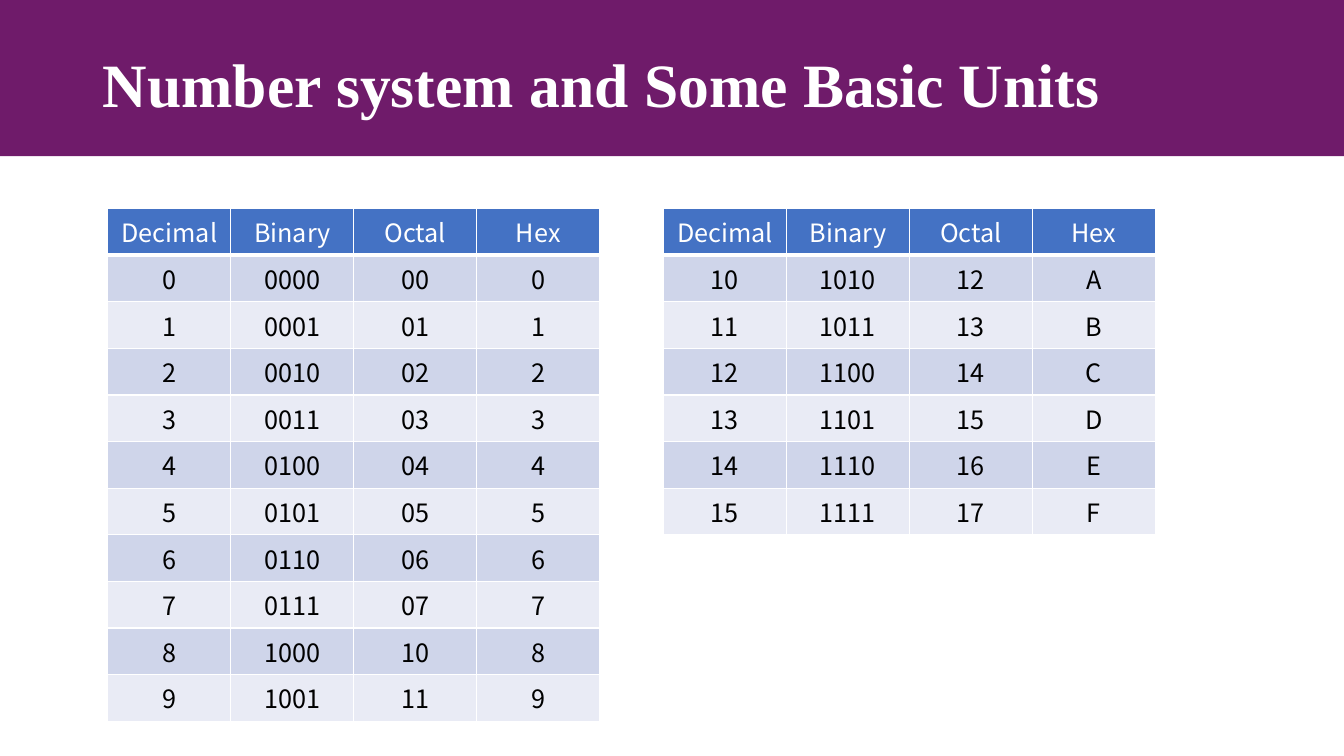
from dataclasses import dataclass

from lxml import etree
from pptx import Presentation
from pptx import util as u
from pptx.dml.color import RGBColor
from pptx.enum import shapes, text
from pptx.oxml import ns

PURPLE = RGBColor(0x6F, 0x1B, 0x6A)
WHITE = RGBColor(0xFF, 0xFF, 0xFF)
BLACK = RGBColor(0, 0, 0)
HEADER_BLUE = RGBColor(0x44, 0x72, 0xC4)
BAND_FILLS = (RGBColor(0xCF, 0xD5, 0xEA), RGBColor(0xE9, 0xEB, 0xF5))

HEADINGS = ("Decimal", "Binary", "Octal", "Hex")
COLUMN_WIDTH = 1.22
ROW_HEIGHT = 0.41
TABLE_TOP = 2.07
TITLE_FONT = {"name": "Times New Roman", "size": u.Pt(44), "bold": True}
CELL_FONT = {"name": "Noto Sans CJK SC", "size": u.Pt(18), "bold": False}


@dataclass(frozen=True)
class NumberTable:
    left: float
    numbers: range


NUMBER_TABLES = (
    NumberTable(1.07, range(10)),
    NumberTable(6.58, range(10, 16)),
)


def apply_format(target, values: dict) -> None:
    for name, value in values.items():
        setattr(target, name, value)


def add_borders(cell, bottom_points: float) -> None:
    properties = cell._tc.get_or_add_tcPr()
    widths = {"lnL": 1, "lnR": 1, "lnT": 1, "lnB": bottom_points}
    for edge, points in widths.items():
        line = etree.SubElement(properties, ns.qn(f"a:{edge}"), w=str(u.Pt(points)))
        fill = etree.SubElement(line, ns.qn("a:solidFill"))
        etree.SubElement(fill, ns.qn("a:srgbClr"), val=str(WHITE))


def fill_cell(cell, words: str, fill: RGBColor, color: RGBColor, bottom_points: float) -> None:
    add_borders(cell, bottom_points)
    cell.fill.solid()
    cell.fill.fore_color.rgb = fill
    para = cell.text_frame.paragraphs[0]
    para.alignment = text.PP_ALIGN.CENTER
    span = para.add_run()
    span.text = words
    apply_format(span.font, CELL_FONT)
    span.font.color.rgb = color


def add_number_table(page, item: NumberTable) -> None:
    rows = [HEADINGS] + [(str(n), f"{n:04b}", f"{n:02o}", f"{n:X}") for n in item.numbers]
    table = page.shapes.add_table(
        len(rows), len(HEADINGS), u.Inches(item.left), u.Inches(TABLE_TOP),
        u.Inches(COLUMN_WIDTH * len(HEADINGS)), u.Inches(ROW_HEIGHT * len(rows)),
    ).table
    for column in table.columns:
        column.width = u.Inches(COLUMN_WIDTH)
    for index, row in enumerate(rows):
        table.rows[index].height = u.Inches(ROW_HEIGHT)
        if index == 0:
            fill, color, bottom_points = HEADER_BLUE, WHITE, 3
        else:
            fill, color, bottom_points = BAND_FILLS[(index - 1) % 2], BLACK, 1
        for position, words in enumerate(row):
            fill_cell(table.cell(index, position), words, fill, color, bottom_points)


def add_title_band(page, deck_width: int) -> None:
    band = page.shapes.add_shape(
        shapes.MSO_SHAPE.RECTANGLE, 0, 0, deck_width, u.Inches(1.55))
    band.shadow.inherit = False
    band.fill.solid()
    band.fill.fore_color.rgb = PURPLE
    band.line.fill.background()
    band.element.addnext(page.shapes.title.element)


def format_title(page) -> None:
    title = page.shapes.title
    apply_format(title, {
        "left": u.Inches(0.92), "top": u.Inches(0.47),
        "width": u.Inches(11.5), "height": u.Inches(0.79),
    })
    apply_format(title.text_frame, {
        "word_wrap": True,
        "auto_size": text.MSO_AUTO_SIZE.NONE,
        "vertical_anchor": text.MSO_ANCHOR.MIDDLE,
    })
    para = title.text_frame.paragraphs[0]
    apply_format(para, {"alignment": text.PP_ALIGN.LEFT, "line_spacing": 0.9})
    span = para.add_run()
    span.text = "Number system and Some Basic Units"
    apply_format(span.font, TITLE_FONT)
    span.font.color.rgb = WHITE


def main() -> None:
    deck = Presentation()
    apply_format(deck, {"slide_width": u.Inches(13.33), "slide_height": u.Inches(7.5)})
    page = deck.slides.add_slide(deck.slide_layouts.get_by_name("Title Only"))
    add_title_band(page, deck.slide_width)
    format_title(page)
    for item in NUMBER_TABLES:
        add_number_table(page, item)
    deck.save("out.pptx")


if __name__ == "__main__":
    main()
